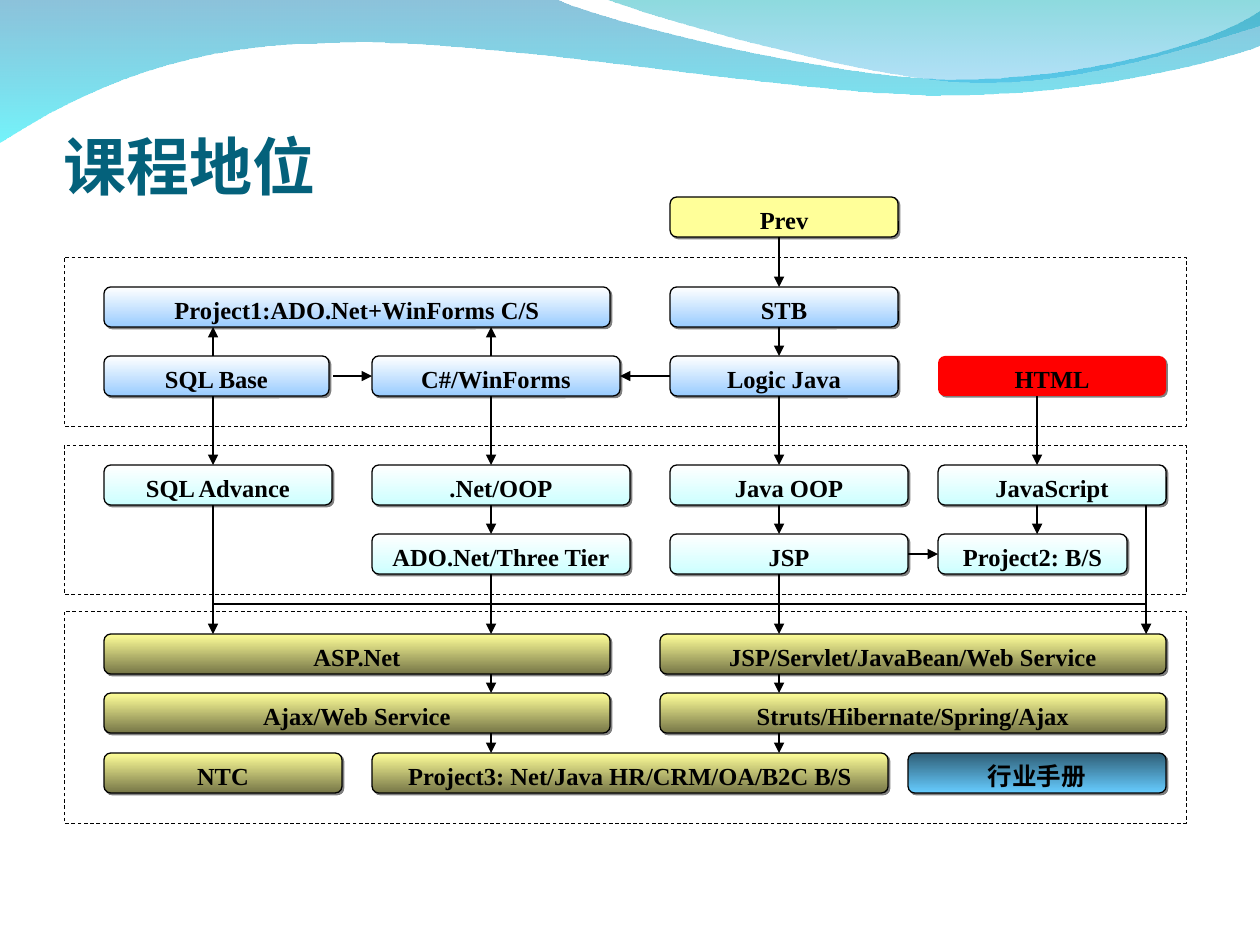
from lxml import etree
from pptx import Presentation
from pptx import util as u
from pptx.dml.color import RGBColor
from pptx.enum import dml, shapes, text
from pptx.oxml.ns import qn

PX = 7258
hex_color = RGBColor.from_string


def write_text(frame, words, size, color, font, align, anchor, margins):
    frame.word_wrap = True
    frame.vertical_anchor = anchor
    frame.margin_left, frame.margin_top, frame.margin_right, frame.margin_bottom = [
        m * PX for m in margins]
    para = frame.paragraphs[0]
    para.alignment = align
    span = para.add_run()
    span.text = words
    span.font.size = u.Pt(size)
    span.font.bold = True
    span.font.name = font
    span.font.color.rgb = hex_color(color)


def paint(shape, colors, opacities=()):
    if len(colors) == 1:
        shape.fill.solid()
        shape.fill.fore_color.rgb = hex_color(colors[0])
        return
    shape.fill.gradient()
    shape.fill.gradient_angle = 270
    for stop, color in zip(shape.fill.gradient_stops, colors):
        stop.color.rgb = hex_color(color)
    for stop, opacity in zip(shape._element.spPr.iter(qn("a:gs")), opacities):
        etree.SubElement(stop[0], qn("a:alpha"), val=str(opacity * 1000))


deck = Presentation()
deck.slide_width, deck.slide_height = u.Inches(10), u.Inches(7.5)
page = deck.slides.add_slide(deck.slide_layouts[5])

waves = [
    (("0079AF", "00EBF8"), (45, 55), [
        [(0, -1)], [(554, -1)],
        [(600, 21), (837, 79), (955, 79)], [(1075, 79), (1207, 47), (1260, 11)],
        [(1261, 45)],
        [(1239, 55), (1096, 96), (940, 95)], [(784, 95), (481, 35), (324, 43)],
        [(163, 44), (58, 105), (-1, 142)]]),
    (("00ADB6", "009BE5"), (45, 30), [
        [(604, -1)],
        [(641, 14), (859, 78), (969, 82)], [(1079, 87), (1211, 40), (1260, 26)],
        [(1260, 0)]]),
]
for colors, opacities, segments in waves:
    points = [point for segment in segments for point in segment]
    builder = page.shapes.build_freeform(*points[0], scale=PX)
    builder.add_line_segments(points[1:], close=True)
    wave = builder.convert_to_shape()
    wave.shadow.inherit = False
    wave.line.fill.background()
    paint(wave, colors, opacities)
    outline = next(wave._element.spPr.iter(qn("a:path")))
    lines = iter(outline.findall(qn("a:lnTo")))
    for segment in segments[1:]:
        parts = [next(lines) for _ in segment]
        if len(parts) == 3:
            curve = etree.Element(qn("a:cubicBezTo"))
            parts[0].addprevious(curve)
            for part in parts:
                curve.append(part[0])
                outline.remove(part)

title = page.shapes.title
title.left, title.top, title.width, title.height = [n * PX for n in (63, 45, 1134, 158)]
write_text(title.text_frame, "课程地位", size=36, color="04617B", font="Calibri",
           align=text.PP_ALIGN.LEFT, anchor=text.MSO_ANCHOR.BOTTOM, margins=(0, 6, 0, 0))

for top, height in [(257, 169), (445, 149), (611, 212)]:
    frame = page.shapes.add_shape(shapes.MSO_SHAPE.RECTANGLE, 64 * PX, top * PX,
                                  1122 * PX, height * PX)
    frame.shadow.inherit = False
    frame.fill.background()
    frame.line.color.rgb = hex_color("000000")
    frame.line.width = u.Pt(0.5)
    frame.line.dash_style = dml.MSO_LINE.DASH

YELLOW, RED = ("FFFF99",), ("FF0000",)
BLUE, CYAN = ("FFFFFF", "99CCFF"), ("FFFFFF", "CCFFFF")
OLIVE, NAVY = ("FFFF99", "767647"), ("2F5E76", "66CCFF")
courses = [
    ("Prev", 670, 197, 228, YELLOW),
    ("Project1:ADO.Net+WinForms C/S", 104, 287, 506, BLUE),
    ("STB", 670, 287, 228, BLUE),
    ("SQL Base", 104, 356, 225, BLUE),
    ("C#/WinForms", 372, 356, 248, BLUE),
    ("Logic Java", 670, 356, 228, BLUE),
    ("HTML", 938, 356, 228, RED),
    ("SQL Advance", 104, 465, 228, CYAN),
    (".Net/OOP", 372, 465, 258, CYAN),
    ("Java OOP", 670, 465, 238, CYAN),
    ("JavaScript", 938, 465, 228, CYAN),
    ("ADO.Net/Three Tier", 372, 534, 258, CYAN),
    ("JSP", 670, 534, 238, CYAN),
    ("Project2: B/S", 938, 534, 189, CYAN),
    ("ASP.Net", 104, 634, 506, OLIVE),
    ("JSP/Servlet/JavaBean/Web Service", 660, 634, 506, OLIVE),
    ("Ajax/Web Service", 104, 693, 506, OLIVE),
    ("Struts/Hibernate/Spring/Ajax", 660, 693, 506, OLIVE),
    ("NTC", 104, 753, 238, OLIVE),
    ("Project3: Net/Java HR/CRM/OA/B2C B/S", 372, 753, 516, OLIVE),
    ("行业手册", 908, 753, 258, NAVY),
]
boxes = {}
for name, left, top, width, colors in courses:
    box = page.shapes.add_shape(shapes.MSO_SHAPE.ROUNDED_RECTANGLE, left * PX, top * PX,
                                width * PX, 40 * PX)
    paint(box, colors)
    if colors == RED:
        box.line.fill.background()
    else:
        box.line.color.rgb = hex_color("000000")
        box.line.width = u.Pt(0.75)
    box.shadow.inherit = False
    shadow = etree.SubElement(box._element.spPr.find(qn("a:effectLst")), qn("a:outerShdw"),
                              dist="17780", dir="2700000", algn="ctr", rotWithShape="0")
    etree.SubElement(shadow, qn("a:srgbClr"), val="808080")
    write_text(box.text_frame, name, size=14, color="000000", font="Times New Roman",
               align=text.PP_ALIGN.CENTER, anchor=text.MSO_ANCHOR.TOP, margins=(13, 6, 13, 6))
    boxes[name] = box

SQL, NET, JAVA, WEB, SCRIPT = 213, 491, 779, 1037, 1146
drops = [
    (SQL, 356, 327), (NET, 356, 327),
    (JAVA, 237, 287), (JAVA, 327, 356),
    (SQL, 396, 465), (NET, 396, 465), (JAVA, 396, 465), (WEB, 396, 465),
    (NET, 505, 534), (JAVA, 505, 534), (WEB, 505, 534),
    (SQL, 505, 634), (NET, 574, 634), (JAVA, 574, 634), (SCRIPT, 505, 634),
    (NET, 674, 693), (JAVA, 674, 693), (NET, 733, 753), (JAVA, 733, 753),
]
links = [(x, start, x, end, None, None) for x, start, end in drops] + [
    (333, 376, 372, 376, None, ("C#/WinForms", 1)),
    (670, 376, 620, 376, ("Logic Java", 1), ("C#/WinForms", 3)),
    (908, 554, 938, 554, ("JSP", 3), ("Project2: B/S", 1)),
    (SCRIPT, 604, NET, 604, None, None),
    (SQL, 604, NET, 604, None, None),
]
for x1, y1, x2, y2, source, target in links:
    link = page.shapes.add_connector(shapes.MSO_CONNECTOR.STRAIGHT, x1 * PX, y1 * PX,
                                     x2 * PX, y2 * PX)
    if source:
        link.begin_connect(boxes[source[0]], source[1])
    if target:
        link.end_connect(boxes[target[0]], target[1])
    link.line.color.rgb = hex_color("000000")
    link.line.width = u.Pt(0.75)
    if x1 == x2 or target:
        etree.SubElement(link.line._get_or_add_ln(), qn("a:tailEnd"), type="triangle")
    etree.SubElement(link._element.spPr, qn("a:effectLst"))

deck.save("out.pptx")
